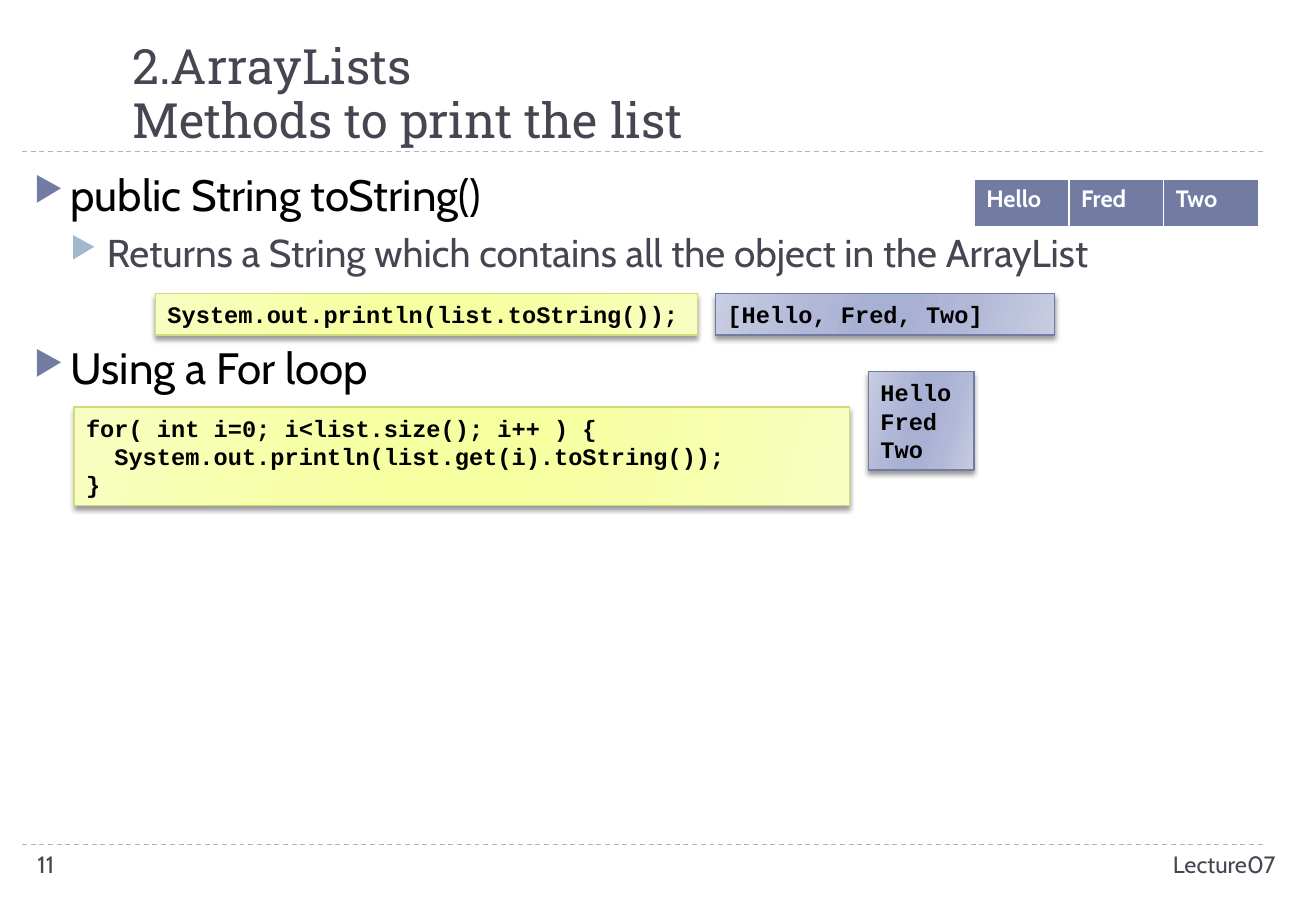
from pptx import Presentation
from pptx.dml.color import RGBColor
from pptx.enum.dml import MSO_LINE
from pptx.enum.shapes import MSO_CONNECTOR, MSO_SHAPE
from pptx.enum.text import MSO_ANCHOR, PP_ALIGN
from pptx.oxml import parse_xml
from pptx.oxml.ns import nsdecls, qn
from pptx.util import Pt

BLACK = RGBColor(0x00, 0x00, 0x00)
WHITE = RGBColor(0xFF, 0xFF, 0xFF)
SLATE = RGBColor(0x46, 0x46, 0x53)
INDIGO = RGBColor(0x72, 0x7C, 0xA3)
SKY = RGBColor(0x9F, 0xB8, 0xCD)
OLIVE = RGBColor(0xD2, 0xDA, 0x7A)

# Edge, middle and centre tint, then the outline
CODE = ("F8FEC2", "F6FFA7", "F6FF9F", OLIVE)
OUTPUT = ("C9CDE2", "B1B7D7", "A8B0D3", INDIGO)
STOPS = ((0, 0), (30, 1), (45, 2), (55, 2), (73, 1), (100, 0))


def node(tag, inner="", attrs=""):
    return parse_xml(f"<a:{tag} {nsdecls('a')} {attrs}>{inner}</a:{tag}>")


class Deck:
    body = "Cabin"
    head = "Roboto Slab"
    mono = "Courier New"

    def __init__(self, wide, high):
        self.prs = Presentation()
        self.prs.slide_width, self.prs.slide_height = Pt(wide), Pt(high)
        self.slide = self.prs.slides.add_slide(self.prs.slide_layouts[6])

    def style(self, par, name, size, color, bold=False):
        for run in par.runs:
            font = run.font
            font.name, font.size, font.bold = name, Pt(size), bold
            font.color.rgb = color

    def rule(self, y):
        line = self.slide.shapes.add_connector(
            MSO_CONNECTOR.STRAIGHT, Pt(13), Pt(y), Pt(750), Pt(y))
        line.line.color.rgb = SKY
        line.line.width = Pt(0.75)
        line.line.dash_style = MSO_LINE.DASH
        line.element.spPr.append(node("effectLst"))

    def label(self, box, text, size, name=body, align=PP_ALIGN.LEFT):
        frame = self.slide.shapes.add_textbox(*map(Pt, box)).text_frame
        frame.word_wrap = True
        par = frame.paragraphs[0]
        par.text = text
        par.alignment = align
        self.style(par, name, size, SLATE)
        return frame

    def title(self, box, text):
        frame = self.label(box, text, 28.8, self.head)
        frame.vertical_anchor = MSO_ANCHOR.BOTTOM
        frame.margin_bottom = Pt(1.5)
        frame.paragraphs[0].line_spacing = 0.92

    def bullets(self, box, items):
        """Fill a box with (level, space before, text) items."""
        frame = self.slide.shapes.add_textbox(*map(Pt, box)).text_frame
        frame.word_wrap = True
        looks = ((26, BLACK, INDIGO), (23, SLATE, SKY))
        for i, (level, space, text) in enumerate(items):
            par = frame.add_paragraph() if i else frame.paragraphs[0]
            size, color, mark = looks[level]
            par.text = text
            par.level = level
            par.space_before = Pt(space)
            props = par._p.get_or_add_pPr()
            props.set("marL", str(Pt(21.6 * (level + 1))))
            props.set("indent", str(Pt(-21.6)))
            props.append(node("buClr", f'<a:srgbClr val="{mark}"/>'))
            props.append(node("buSzPct", attrs='val="76000"'))
            props.append(node("buChar", attrs='char="▶"'))
            self.style(par, self.body, size, color)

    def panel(self, box, look, text):
        """Add a shaded, shadowed box of monospaced lines."""
        shape = self.slide.shapes.add_shape(
            MSO_SHAPE.RECTANGLE, *map(Pt, box))
        shape.fill.gradient()
        shape.fill.gradient_angle = 344
        props = shape.element.spPr
        stops = props.find(".//" + qn("a:gsLst"))
        stops.clear()
        for place, tint in STOPS:
            stops.append(node("gs", f'<a:srgbClr val="{look[tint]}"/>',
                              f'pos="{place * 1000}"'))
        shape.line.color.rgb = look[3]
        shape.line.width = Pt(0.75)
        shape.shadow.inherit = False
        props.find(qn("a:effectLst")).append(node(
            "outerShdw",
            '<a:srgbClr val="000000"><a:alpha val="40000"/></a:srgbClr>',
            f'blurRad="{Pt(3)}" dist="{Pt(2)}" dir="5400000" rotWithShape="0"'))
        frame = shape.text_frame
        frame.word_wrap = True
        frame.vertical_anchor = MSO_ANCHOR.MIDDLE
        frame.text = text
        for par in frame.paragraphs:
            par.alignment = PP_ALIGN.LEFT
            self.style(par, self.mono, 14, BLACK, True)

    def table(self, box, words):
        table = self.slide.shapes.add_table(
            1, len(words), *map(Pt, box)).table
        for cell, word in zip(table.rows[0].cells, words):
            cell.text = word
            cell.fill.solid()
            cell.fill.fore_color.rgb = INDIGO
            self.style(cell.text_frame.paragraphs[0],
                       self.body, 14, WHITE, True)
            props = cell._tc.get_or_add_tcPr()
            for i, (side, width) in enumerate(zip("LRTB", (1, 1, 1, 3))):
                fill = f'<a:solidFill><a:srgbClr val="{WHITE}"/></a:solidFill>'
                props.insert(i, node("ln" + side, fill, f'w="{Pt(width)}"'))


def main():
    deck = Deck(780, 540)
    for y in (500.4, 90):
        deck.rule(y)
    deck.title((71.3, 12.2, 687.6, 77.8),
               "2.ArrayLists\vMethods to print the list")
    deck.bullets((13, 95.8, 747.4, 401.8), (
        (0, 0, "public String toString()"),
        (1, 5, "Returns a String which contains all the object in the ArrayList"),
        (0, 39, "Using a For loop"),
    ))
    deck.panel((92.2, 174.2, 321.1, 24.5), CODE,
               "System.out.println(list.toString());")
    deck.panel((43.9, 241.2, 459.4, 58.3), CODE,
               "for( int i=0; i<list.size(); i++ ) {\n"
               "  System.out.println(list.get(i).toString());\n"
               "}")
    deck.panel((424.1, 174.2, 200.9, 24.5), OUTPUT, "[Hello, Fred, Two]")
    words = ("Hello", "Fred", "Two")
    deck.table((577.4, 106, 168.5, 29.5), words)
    deck.panel((514.8, 220.3, 62.6, 58.3), OUTPUT, "\n".join(words))
    deck.label((15.1, 500.4, 169.2, 28.8), "11", 14)
    deck.label((568.1, 500.4, 195.1, 28.8), "Lecture07", 14,
               align=PP_ALIGN.RIGHT)
    deck.prs.save("out.pptx")


if __name__ == "__main__":
    main()
